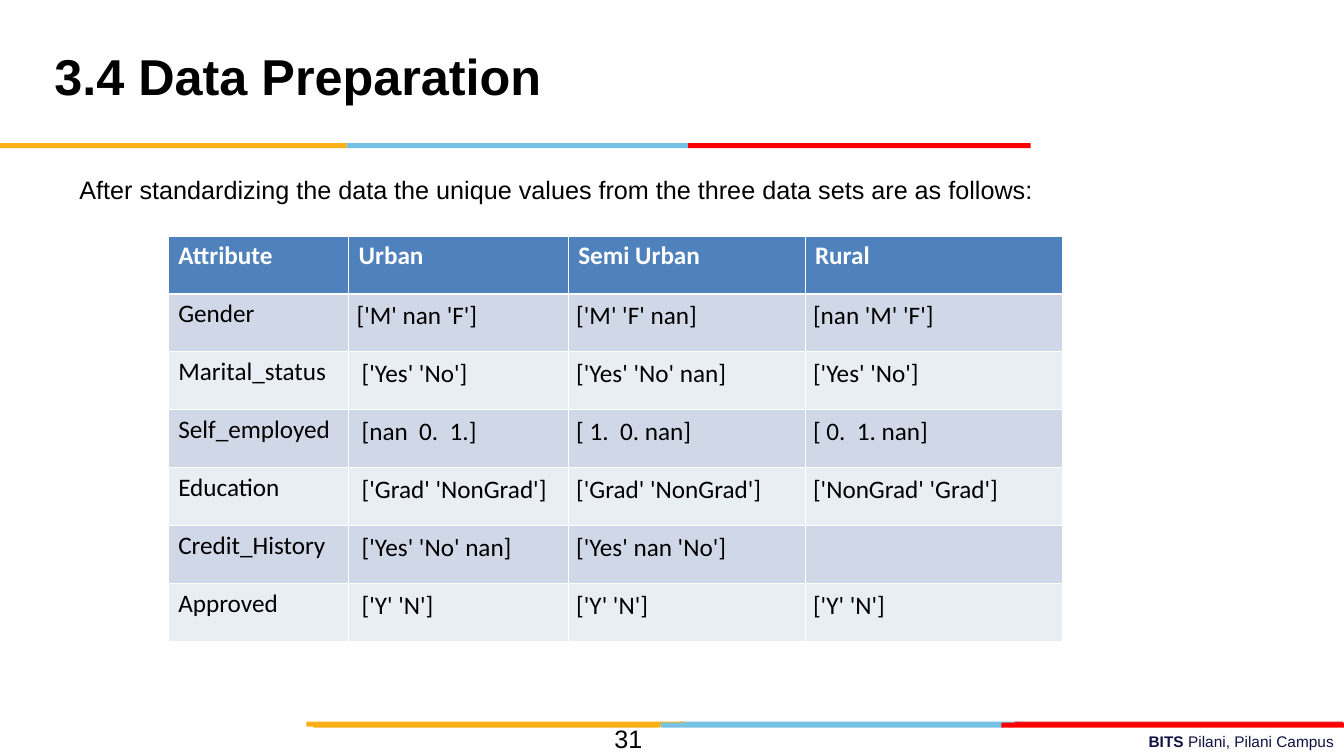
"""Build the data preparation slide with its table of unique values."""
from lxml import etree
from pptx import Presentation
from pptx.dml.color import RGBColor
from pptx.enum.shapes import MSO_SHAPE
from pptx.enum.text import MSO_ANCHOR, PP_ALIGN
from pptx.oxml.ns import qn
from pptx.util import Inches, Pt

RECT = MSO_SHAPE.RECTANGLE
MIDDLE = MSO_ANCHOR.MIDDLE
LEFT, RIGHT = PP_ALIGN.LEFT, PP_ALIGN.RIGHT

BLACK, WHITE, NAVY = "000000", "FFFFFF", "101141"
YELLOW, BLUE, RED, DARK_RED = "FCB017", "76C2E5", "FF0000", "E31C24"
HEADER_FILL, ROW_FILLS = "4F81BD", ("D0D8E8", "E9EDF4")

TITLE = "3.4 Data Preparation"
INTRO = "After standardizing the data the unique values from the three data sets are as follows:"
PAGE = "31"
FOOTER = [("BITS ", True), ("Pilani, Pilani Campus", False)]
ROWS = [
    ("Attribute", "Urban", "Semi Urban", "Rural"),
    ("Gender", "['M' nan 'F']", "['M' 'F' nan]", "[nan 'M' 'F']"),
    ("Marital_status", "['Yes' 'No']", "['Yes' 'No' nan]", "['Yes' 'No']"),
    ("Self_employed", "[nan  0.  1.]", "[ 1.  0. nan]", "[ 0.  1. nan]"),
    ("Education", "['Grad' 'NonGrad']", "['Grad' 'NonGrad']", "['NonGrad' 'Grad']"),
    ("Credit_History", "['Yes' 'No' nan]", "['Yes' nan 'No']", ""),
    ("Approved", "['Y' 'N']", "['Y' 'N']", "['Y' 'N']"),
]
COL_WIDTHS = (1.79, 2.18, 2.35, 2.55)
TABLE_LEFT, TABLE_TOP, TABLE_HEIGHT = 1.67, 2.34, 4.02
THIN, THICK = 0.45, 1.47

BAR_HEIGHT = 0.05
BARS = [
    (7.16, [(6.75, 3.39, BLUE), (10.07, 3.26, DARK_RED), (3.04, 3.76, YELLOW)]),
    (7.17, [(6.56, 3.4, BLUE), (3.11, 3.44, YELLOW), (9.94, 3.4, RED)]),
    (1.42, [(3.44, 3.4, BLUE), (0, 3.44, YELLOW), (6.83, 3.4, RED)]),
]


def rgb(value):
    return RGBColor.from_string(value)


def style(r, size, color, bold=False, name="Arial"):
    r.font.size = Pt(size)
    r.font.name = name
    r.font.bold = bold
    r.font.color.rgb = rgb(color)


def add_bar(slide, x, y, w, color):
    sp = slide.shapes.add_shape(RECT, Inches(x), Inches(y), Inches(w), Inches(BAR_HEIGHT))
    sp.shadow.inherit = False
    sp.fill.solid()
    sp.fill.fore_color.rgb = rgb(color)
    sp.line.fill.background()


def add_text(slide, box, runs, size, color, align=LEFT):
    tf = slide.shapes.add_textbox(*map(Inches, box)).text_frame
    tf.word_wrap = True
    p = tf.paragraphs[0]
    p.alignment = align
    for text, bold in runs:
        r = p.add_run()
        r.text = text
        style(r, size, color, bold)


def set_borders(cell, top, bottom):
    tcPr = cell._tc.get_or_add_tcPr()
    for i, (side, width) in enumerate(zip("LRTB", (THIN, THIN, top, bottom))):
        ln = etree.Element(qn("a:ln" + side), w=str(Pt(width)))
        fill = etree.SubElement(ln, qn("a:solidFill"))
        etree.SubElement(fill, qn("a:srgbClr"), val=WHITE)
        tcPr.insert(i, ln)


def fill_cell(cell, text, row, col):
    header, value = row == 0, row > 0 and col > 0
    cell.fill.solid()
    cell.fill.fore_color.rgb = rgb(HEADER_FILL if header else ROW_FILLS[(row - 1) % 2])
    set_borders(cell, THICK if row == 1 else THIN, THICK if header else THIN)
    side = 0.08 if value else 0.1
    cell.margin_left = Inches(0.13 if col == 1 and row > 1 else side)
    cell.margin_right = Inches(side)
    cell.margin_top = cell.margin_bottom = Inches(0.05)
    p = cell.text_frame.paragraphs[0]
    p.text = text
    if value:
        p.line_spacing = 1.07
        p.space_after = Pt(8)
    for r in p.runs:
        style(r, 18, WHITE if header else BLACK, header, "Calibri")


def add_values_table(slide):
    frame = slide.shapes.add_table(
        len(ROWS), len(COL_WIDTHS), Inches(TABLE_LEFT), Inches(TABLE_TOP),
        Inches(sum(COL_WIDTHS)), Inches(TABLE_HEIGHT))
    table = frame.table
    for column, width in zip(table.columns, COL_WIDTHS):
        column.width = Inches(width)
    for i, row in enumerate(ROWS):
        for j, text in enumerate(row):
            fill_cell(table.cell(i, j), text, i, j)


def set_title(slide):
    title = slide.shapes.title
    title.left, title.top, title.width, title.height = map(Inches, (0.44, 0.17, 9.22, 1.25))
    tf = title.text_frame
    tf.text = TITLE
    tf.vertical_anchor = MIDDLE
    p = tf.paragraphs[0]
    p.alignment = LEFT
    p.line_spacing = Pt(36)
    style(p.runs[0], 36, BLACK, True)


def main():
    prs = Presentation()
    prs.slide_width, prs.slide_height = Inches(13.34), Inches(7.5)
    slide = prs.slides.add_slide(prs.slide_layouts[5])
    set_title(slide)
    add_text(slide, (4.78, 7.21, 8.56, 0.29), FOOTER, 11, NAVY, RIGHT)
    for y, parts in BARS:
        for x, w, color in parts:
            add_bar(slide, x, y, w, color)
    add_values_table(slide)
    add_text(slide, (6, 7.13, 2.35, 0.4), [(PAGE, False)], 18, BLACK)
    add_text(slide, (0.69, 1.68, 11.76, 0.4), [(INTRO, False)], 18, BLACK)
    prs.save("out.pptx")


if __name__ == "__main__":
    main()
